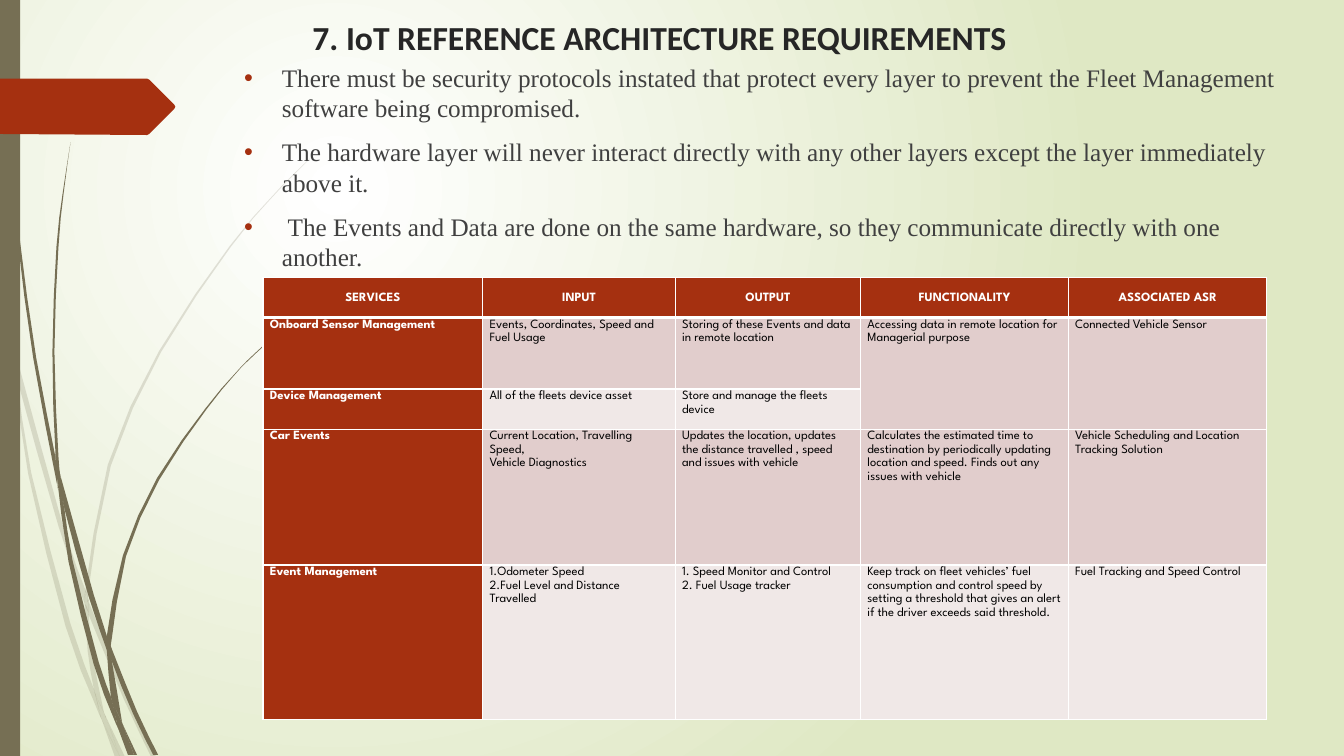
from lxml import etree
from pptx import Presentation
from pptx.dml.color import RGBColor
from pptx.enum.shapes import MSO_SHAPE
from pptx.enum.text import MSO_ANCHOR, MSO_AUTO_SIZE, PP_ALIGN
from pptx.oxml.ns import qn
from pptx.util import Cm, Pt

COLORS = {
    "white": "FFFFFF", "mist": "DFE8C4", "olive": "766F54", "rust": "A53010",
    "title": "262626", "body": "404040", "black": "000000",
    "rose": "E1CDCC", "pale": "F0E8E7",
}
OUTLINE_UNIT = Cm(2.54) / 1000
STEPS = 2

# Each stalk piece has two edges, running downwards, in hundredths of an inch.
FAINT_STALKS = [
    ([(0, 282), (9, 322), (11, 350)], [(0, 299), (10, 344), (11, 350)]),
    ([(14, 345), (17, 376), (58, 522), (84, 599)], [(14, 345), (62, 520), (85, 586)]),
    ([(88, 596), (92, 607), (127, 692), (155, 751)], [(88, 610), (123, 694), (150, 751)]),
    ([(105, 711), (124, 751)], [(105, 711), (119, 751)]),
    ([(11, 350), (17, 376), (31, 469), (70, 619), (93, 683), (99, 707), (101, 714)],
     [(11, 350), (28, 470), (65, 621), (92, 693), (101, 714)]),
    ([(84, 599), (87, 646), (93, 683), (96, 692), (105, 711)],
     [(84, 599), (88, 608), (91, 646), (103, 706), (105, 711)]),
    ([(312, 153), (289, 175), (268, 197), (228, 244), (158, 348), (107, 461), (85, 584), (85, 586)],
     [(312, 153), (290, 175), (268, 198), (229, 245), (160, 349), (110, 462), (88, 584), (88, 596)]),
    ([(101, 714), (114, 751)], [(101, 714), (119, 751)]),
    ([(85, 586), (84, 599), (88, 608)], [(85, 586), (88, 596), (88, 610)]),
    ([(93, 683), (99, 707), (101, 714), (119, 751)], [(93, 683), (96, 692), (105, 711), (119, 751)]),
]
SOLID_STALKS = [
    ([(3, 0), (4, 48), (7, 110), (17, 233), (33, 355), (56, 477), (57, 481)],
     [(4, 0), (5, 48), (8, 109), (19, 232), (36, 355), (55, 453), (57, 481)]),
    ([(60, 472), (93, 590), (106, 631), (106, 645)], [(60, 472), (64, 505), (88, 592), (106, 645)]),
    ([(110, 641), (113, 649), (136, 706), (157, 749)],
     [(110, 641), (111, 656), (132, 708), (152, 749)]),
    ([(57, 477), (68, 557), (93, 659), (111, 708), (117, 722)],
     [(57, 477), (64, 505), (72, 556), (98, 657), (110, 691), (116, 717), (117, 722)]),
    ([(70, 141), (62, 193), (56, 245), (52, 349), (55, 449), (60, 472)],
     [(70, 141), (63, 193), (58, 245), (54, 349), (58, 453), (60, 472)]),
    ([(122, 719), (136, 749)], [(122, 719), (133, 749)]),
    ([(55, 449), (55, 453), (57, 477), (64, 505)], [(55, 449), (60, 472), (64, 505)]),
    ([(260, 344), (245, 358), (231, 373), (204, 405), (156, 474), (122, 551), (106, 631), (110, 641)],
     [(261, 344), (245, 359), (231, 374), (205, 406), (158, 476), (125, 552), (111, 633), (110, 641)]),
    ([(117, 722), (127, 749)], [(117, 722), (131, 749)]),
    ([(106, 645), (110, 691), (116, 706), (122, 719)],
     [(106, 645), (111, 656), (121, 716), (122, 719)]),
    ([(106, 631), (106, 645), (111, 656)], [(106, 631), (110, 641), (111, 656)]),
    ([(110, 691), (116, 717), (117, 722), (130, 749)],
     [(110, 691), (116, 706), (122, 719), (133, 749)]),
]
TAG = [(0, 78), (146, 78), (148, 79), (173, 104), (174, 106), (173, 108), (148, 133),
       (146, 134), (0, 133)]

BULLETS = [
    "There must be security protocols instated that protect every layer to prevent "
    "the Fleet Management software being compromised.",
    "The hardware layer will never interact directly with any other layers except "
    "the layer immediately above it.",
    " The Events and Data are done on the same hardware, so they communicate "
    "directly with one another.",
]
COLUMN_WEIGHTS = [218, 191, 184, 206, 197]
ROW_WEIGHTS = [40, 71, 40, 135, 154]
ROW_FILLS = ["rust", "rose", "pale", "rose", "pale"]
SERVICES = [
    ["SERVICES", "INPUT", "OUTPUT", "FUNCTIONALITY", "ASSOCIATED ASR"],
    ["Onboard Sensor Management", "Events, Coordinates, Speed and Fuel Usage",
     "Storing of these Events and data in remote location",
     "Accessing data in remote location for Managerial purpose", "Connected Vehicle Sensor"],
    ["Device Management", "All of the fleets device asset",
     "Store and manage the fleets device", "", ""],
    ["Car Events", "Current Location, Travelling Speed,\nVehicle Diagnostics",
     "Updates the location, updates the distance travelled , speed and issues with vehicle",
     "Calculates the estimated time to destination by periodically updating location "
     "and speed. Finds out any issues with vehicle",
     "Vehicle Scheduling and Location Tracking Solution"],
    ["Event Management", "1.Odometer Speed\n2.Fuel Level and Distance Travelled",
     "1. Speed Monitor and Control\n2. Fuel Usage tracker",
     "Keep track on fleet vehicles’ fuel consumption and control speed by setting a "
     "threshold that gives an alert if the driver exceeds said threshold.",
     "Fuel Tracking and Speed Control"],
]


def rgb(name):
    """Return a named colour."""
    return RGBColor.from_string(COLORS[name])


def set_font(paragraph, name, size, color, bold=False):
    """Format all text of a paragraph."""
    font = paragraph.font
    font.name, font.size, font.bold = name, Pt(size), bold
    font.color.rgb = rgb(color)


def paint(shape, color, opacity=100):
    """Give a shape a flat fill without line or shadow."""
    shape.shadow.inherit = False
    shape.fill.solid()
    shape.fill.fore_color.rgb = rgb(color)
    shape.line.fill.background()
    if opacity < 100:
        fill_color = next(shape.element.iter(qn("a:srgbClr")))
        etree.SubElement(fill_color, qn("a:alpha"), val=str(opacity * 1000))


def fill_placeholder(shape, box, text):
    """Move a placeholder to a box, bring it to the front and set its text."""
    shape.left, shape.top, shape.width, shape.height = box
    shape.element.getparent().append(shape.element)
    frame = shape.text_frame
    frame.text = text
    frame.vertical_anchor, frame.auto_size = MSO_ANCHOR.TOP, MSO_AUTO_SIZE.NONE
    return frame.paragraphs


def smooth_edge(points):
    """Return points on a Catmull-Rom curve."""
    padded = [points[0], *points, points[-1]]
    curve = []
    for a, b, c, d in zip(padded, padded[1:], padded[2:], padded[3:]):
        for step in range(STEPS):
            t = step / STEPS
            curve.append(tuple(
                (2 * q + (r - p) * t + (2 * p - 5 * q + 4 * r - s) * t ** 2
                 + (3 * q - p - 3 * r + s) * t ** 3) / 2
                for p, q, r, s in zip(a, b, c, d)))
    return curve + [points[-1]]


def add_outline(slide, left, top, points):
    """Add a closed outline given in hundredths of an inch."""
    start, *others = [(10 * x, 10 * y) for x, y in points]
    builder = slide.shapes.build_freeform(*start, scale=OUTLINE_UNIT)
    builder.add_line_segments(others, close=True)
    return builder.convert_to_shape(left, top)


def add_background(slide):
    """Fill the slide with a radial gradient, light at the upper left."""
    fill = slide.background.fill
    fill.gradient()
    for stop, color in zip(fill.gradient_stops, ("white", "mist")):
        stop.color.rgb = rgb(color)
    gradient = next(slide.element.iter(qn("a:gradFill")))
    circle = etree.Element(qn("a:path"), path="circle")
    etree.SubElement(circle, qn("a:fillToRect"), l="50000", t="50000", r="100000", b="100000")
    gradient.replace(gradient.find(qn("a:lin")), circle)


def add_decoration(slide, left, top, height):
    """Draw the stalks, the side bar and the tag along the left edge."""
    for stalks, opacity in ((FAINT_STALKS, 20), (SOLID_STALKS, 100)):
        for first_edge, second_edge in stalks:
            outline = smooth_edge(first_edge) + smooth_edge(second_edge)[::-1]
            paint(add_outline(slide, left, top, outline), "olive", opacity)
    paint(slide.shapes.add_shape(MSO_SHAPE.RECTANGLE, left, top, Cm(0.51), height), "olive")
    paint(add_outline(slide, left, top, TAG), "rust")


def add_title(slide, box):
    """Fill the title placeholder."""
    heading = "7. IoT REFERENCE ARCHITECTURE REQUIREMENTS"
    for paragraph in fill_placeholder(slide.shapes.title, box, heading):
        paragraph.alignment = PP_ALIGN.LEFT
        set_font(paragraph, "Calibri", 24, "title", True)


def add_requirements(slide, box):
    """Fill the body placeholder with the bulleted requirements."""
    for paragraph in fill_placeholder(slide.placeholders[1], box, "\n".join(BULLETS)):
        set_font(paragraph, "Times New Roman", 18, "body")
        paragraph.space_before = Pt(10)
        properties = paragraph._p.get_or_add_pPr()
        properties.set("marL", str(Cm(0.95)))
        properties.set("indent", str(-Cm(0.95)))
        bullet_color = etree.Element(qn("a:buClr"))
        etree.SubElement(bullet_color, qn("a:srgbClr"), val=COLORS["rust"])
        bullet_font = etree.Element(qn("a:buFont"), typeface="Arial")
        bullet = etree.Element(qn("a:buChar"), char="•")
        for element in (bullet_color, bullet_font, bullet):
            properties.find(qn("a:defRPr")).addprevious(element)


def add_borders(cell, is_header):
    """Draw white cell borders, thicker under the header."""
    properties = cell._tc.get_or_add_tcPr()
    for side in "LRTB":
        width = Pt(3) if is_header and side == "B" else Pt(1)
        line = etree.SubElement(properties, qn(f"a:ln{side}"), w=str(width))
        fill = etree.SubElement(line, qn("a:solidFill"))
        etree.SubElement(fill, qn("a:srgbClr"), val=COLORS["white"])


def add_services_table(slide, box):
    """Add the table of services, sized by weights to its box."""
    table = slide.shapes.add_table(len(SERVICES), len(SERVICES[0]), *box).table
    table.horz_banding = False
    for column, weight in zip(table.columns, COLUMN_WEIGHTS):
        column.width = int(box[2] * weight / sum(COLUMN_WEIGHTS))
    for row, weight in zip(table.rows, ROW_WEIGHTS):
        row.height = int(box[3] * weight / sum(ROW_WEIGHTS))
    for row_index, texts in enumerate(SERVICES):
        for column_index, text in enumerate(texts):
            cell = table.cell(row_index, column_index)
            is_header = row_index == 0
            is_label = is_header or column_index == 0
            add_borders(cell, is_header)
            cell.fill.solid()
            cell.fill.fore_color.rgb = rgb("rust" if is_label else ROW_FILLS[row_index])
            cell.margin_left = cell.margin_right = Cm(0.17)
            cell.margin_top = cell.margin_bottom = 0
            cell.vertical_anchor = MSO_ANCHOR.MIDDLE if is_header else MSO_ANCHOR.TOP
            cell.text = text
            for paragraph in cell.text_frame.paragraphs:
                paragraph.alignment = PP_ALIGN.CENTER if is_header else PP_ALIGN.LEFT
                paragraph.line_spacing = 1.15
                set_font(paragraph, "League Spartan", 9, "white" if is_label else "black", is_label)
    for column_index in (3, 4):
        table.cell(1, column_index).merge(table.cell(2, column_index))


presentation = Presentation()
presentation.slide_width, presentation.slide_height = Cm(33.87), Cm(19.05)
slide = presentation.slides.add_slide(presentation.slide_layouts[1])
add_background(slide)
add_decoration(slide, 0, 0, presentation.slide_height)
add_title(slide, (Cm(7.62), Cm(0.3), Cm(24.77), Cm(1.14)))
add_requirements(slide, (Cm(5.9), Cm(1.44), Cm(26.85), Cm(5.56)))
add_services_table(slide, (Cm(6.63), Cm(6.99), Cm(25.3), Cm(11.15)))
presentation.save("out.pptx")
